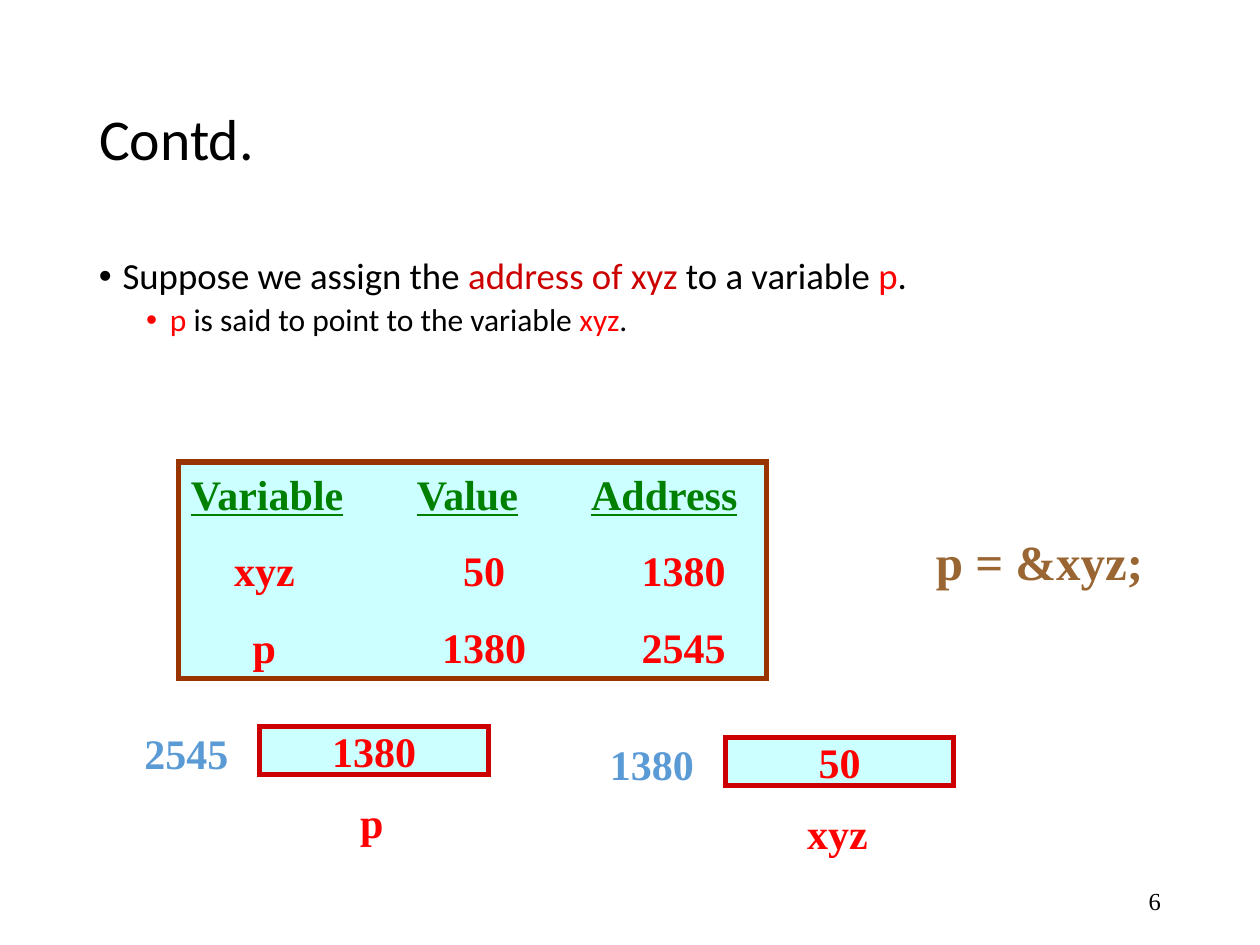
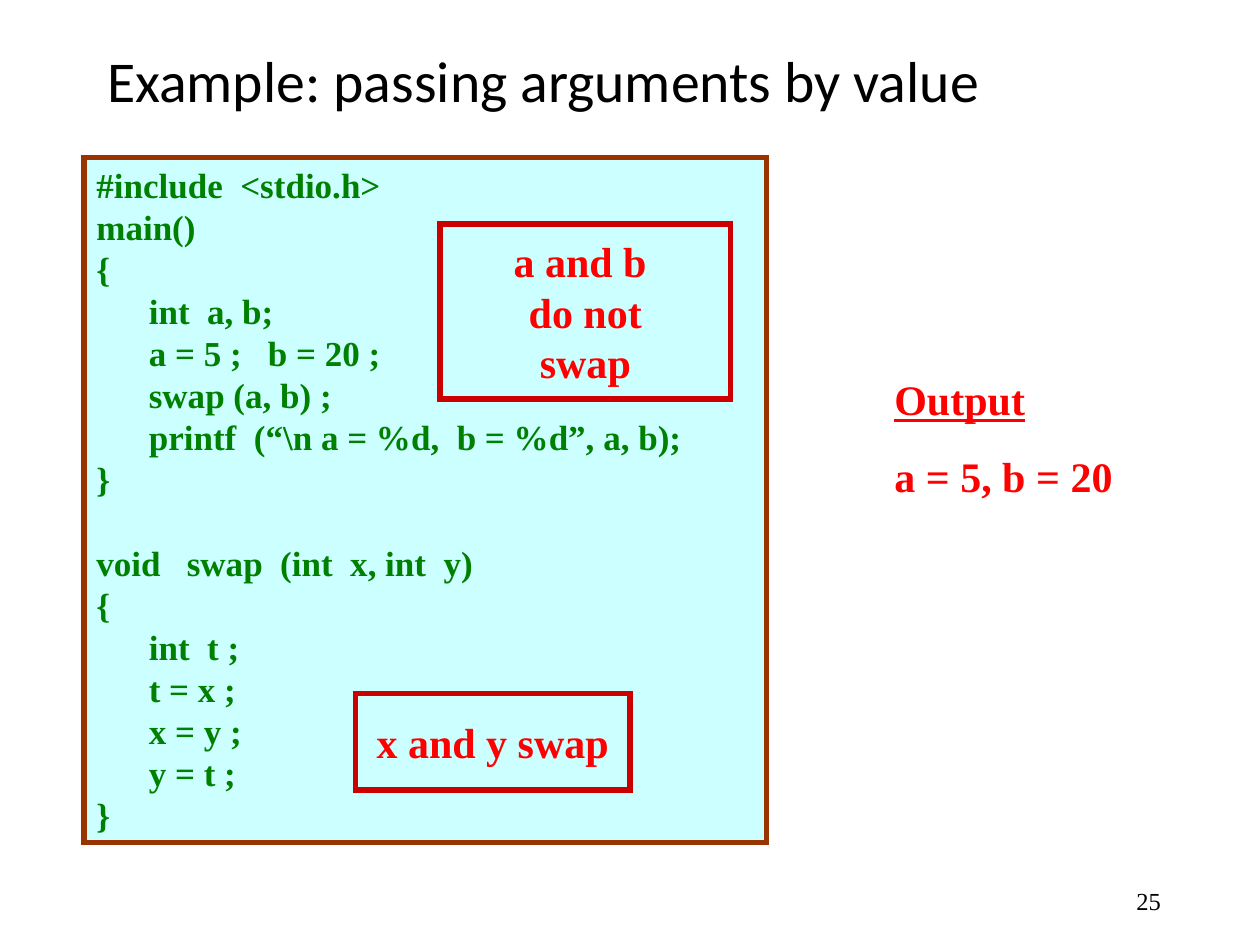
from lxml.etree import SubElement
from pptx import Presentation
from pptx.dml.color import RGBColor as RGB
from pptx.enum.shapes import MSO_SHAPE as Shape
from pptx.enum.text import MSO_ANCHOR as Anchor, MSO_AUTO_SIZE as Auto, PP_ALIGN as Align
from pptx.oxml.ns import qn
from pptx.util import Pt

BLACK = RGB(0x00, 0x00, 0x00)
RED = RGB(0xFF, 0x00, 0x00)
DARK = RGB(0xCC, 0x00, 0x00)
GREEN = RGB(0x00, 0x80, 0x00)
BLUE = RGB(0x5B, 0x9B, 0xD5)
BROWN = RGB(0x99, 0x33, 0x00)
TAN = RGB(0x99, 0x66, 0x33)
CYAN = RGB(0xCC, 0xFF, 0xFF)
SANS, SERIF = "Calibri", "Times New Roman"


def write(shape, lines, size, align=Align.LEFT, face=SERIF, bold=True, gap=0):
    """Fill a shape with lines, each a list of (text, colour) runs."""
    frame = shape.text_frame
    for i, line in enumerate(lines):
        para = frame.add_paragraph() if i else frame.paragraphs[0]
        para.alignment = align
        if i and gap:
            para.space_before = Pt(gap)
        for text, color in line:
            run = para.add_run()
            run.text = text
            font = run.font
            font.name, font.size, font.bold = face, Pt(size), bold
            font.color.rgb = color
        if not line:
            SubElement(para._p, qn("a:endParaRPr"), sz=str(size * 100), b="1")
    return frame.paragraphs


def box(slide, x, y, w, h, edge=None, wrap=True, anchor=Anchor.TOP):
    """Add a text box, or a cyan rectangle when an edge colour is given."""
    area = Pt(x), Pt(y), Pt(w), Pt(h)
    if edge is None:
        shape = slide.shapes.add_textbox(*area)
    else:
        shape = slide.shapes.add_shape(Shape.RECTANGLE, *area)
        shape.shadow.inherit = False
        shape.fill.solid()
        shape.fill.fore_color.rgb = CYAN
        shape.line.color.rgb = edge
        shape.line.width = Pt(3)
        SubElement(shape.line._get_or_add_ln(), qn("a:miter"), lim="800000")
    shape.text_frame.word_wrap = wrap
    shape.text_frame.vertical_anchor = anchor
    return shape


deck = Presentation()
deck.slide_width, deck.slide_height = Pt(720), Pt(540)

# Titles and page numbers
pages = [
    ("Contd.", "6", (49.5, 29, 621, 104.4)),
    ("Example: passing arguments by value", "25", (54, 24, 612, 48)),
]
slides = []
for name, page, area in pages:
    slide = deck.slides.add_slide(deck.slide_layouts[5])
    title = slide.shapes.title
    title.left, title.top, title.width, title.height = map(Pt, area)
    title.text_frame.vertical_anchor = Anchor.MIDDLE
    title.text_frame.auto_size = Auto.NONE
    write(title, [[(name, BLACK)]], 33, face=SANS, bold=False)[0].line_spacing = 0.9
    foot = box(slide, 508.5, 500.5, 162, 28.75, anchor=Anchor.MIDDLE)
    write(foot, [[(page, BLACK)]], 14, Align.RIGHT, bold=False)
    slides.append(slide)
first, second = slides

# Bullets
body = box(first, 49.5, 144, 621, 342.5)
point = [("Suppose we assign the ", BLACK), ("address of xyz", DARK),
         (" to a variable ", BLACK), ("p", RED), (".", BLACK)]
sub = [("p", RED), (" is said to point to the variable ", BLACK),
       ("xyz", RED), (".", BLACK)]
paras = write(body, [point, sub], 21, face=SANS, bold=False, gap=3.75)
for level, (para, left, tint) in enumerate(zip(paras, (13.5, 40.5), ("000000", "FF0000"))):
    para.level = level
    para.line_spacing = 0.9
    props = para._p.get_or_add_pPr()
    props.set("marL", str(Pt(left)))
    props.set("indent", str(-Pt(13.5)))
    SubElement(SubElement(props, qn("a:buClr")), qn("a:srgbClr"), val=tint)
    SubElement(props, qn("a:buFont"), typeface="Arial")
    SubElement(props, qn("a:buChar"), char="•")
for run in paras[1].runs:
    run.font.size = Pt(18)

# Variables, their values and addresses, centred on tab stops
rows = [("Variable", "Value", "Address"), ("xyz", "50", "1380"), ("p", "1380", "2545")]
lines = []
for i, row in enumerate(rows):
    color = RED if i else GREEN
    lines.append([run for word in row for run in (("\t", color), (word, color))])
grid = box(first, 102, 264, 336, 124, BROWN)
paras = write(grid, lines, 24, gap=15)
for i, para in enumerate(paras):
    tabs = SubElement(para._p.get_or_add_pPr(), qn("a:tabLst"))
    for stop in (42, 167.5, 281.5) if i else (43.5, 158, 270.5):
        SubElement(tabs, qn("a:tab"), pos=str(Pt(stop)), algn="ctr")
for run in paras[0].runs[1::2]:
    run.font.underline = True

code = box(first, 522, 300, 144, 41)
write(code, [[("p = &xyz;", TAN)]], 28, Align.CENTER)

# Memory cells: address at left, value inside, name below
for x, y, place, value, name in [(414.5, 421.5, "1380", "50", "xyz"),
                                 (148.5, 415, "2545", "1380", "p")]:
    cell = box(first, x, y, 130.5, 27.5, DARK, False, Anchor.MIDDLE)
    tag = box(first, x - 81, y - 3, 78, 36, wrap=False)
    label = box(first, x + 29, y + 36.5, 70, 36, wrap=False)
    for shape, text, color in [(cell, value, RED), (tag, place, BLUE), (label, name, RED)]:
        write(shape, [[(text, color)]], 24, Align.CENTER)

# Program
CODE = r"""#include  <stdio.h>
main()
{
      int  a, b;
      a = 5 ;   b = 20 ;
      swap (a, b) ;
      printf  (“\n a = %d,  b = %d”, a, b);
}

void   swap  (int  x, int  y)
{
      int  t ;
      t = x ;
      x = y ;
      y = t ;
}"""
listing = box(second, 48, 90, 390, 391.5, BROWN)
write(listing, [[(text, GREEN)] if text else [] for text in CODE.split("\n")], 20)

# Output
result = box(second, 504, 210, 180, 80)
paras = write(result, [[("Output", RED)], [("a = 5, b = 20", RED)]], 24, gap=15)
paras[0].runs[0].font.underline = True

# Remarks on the program
for area, texts in [((203, 396.5, 157, 55), ["x and y swap"]),
                    ((251.5, 128, 166, 100), ["a and b ", "do not", "swap"])]:
    note = box(second, *area, DARK, False, Anchor.MIDDLE)
    write(note, [[(text, RED)] for text in texts], 24, Align.CENTER)

deck.save("out.pptx")
